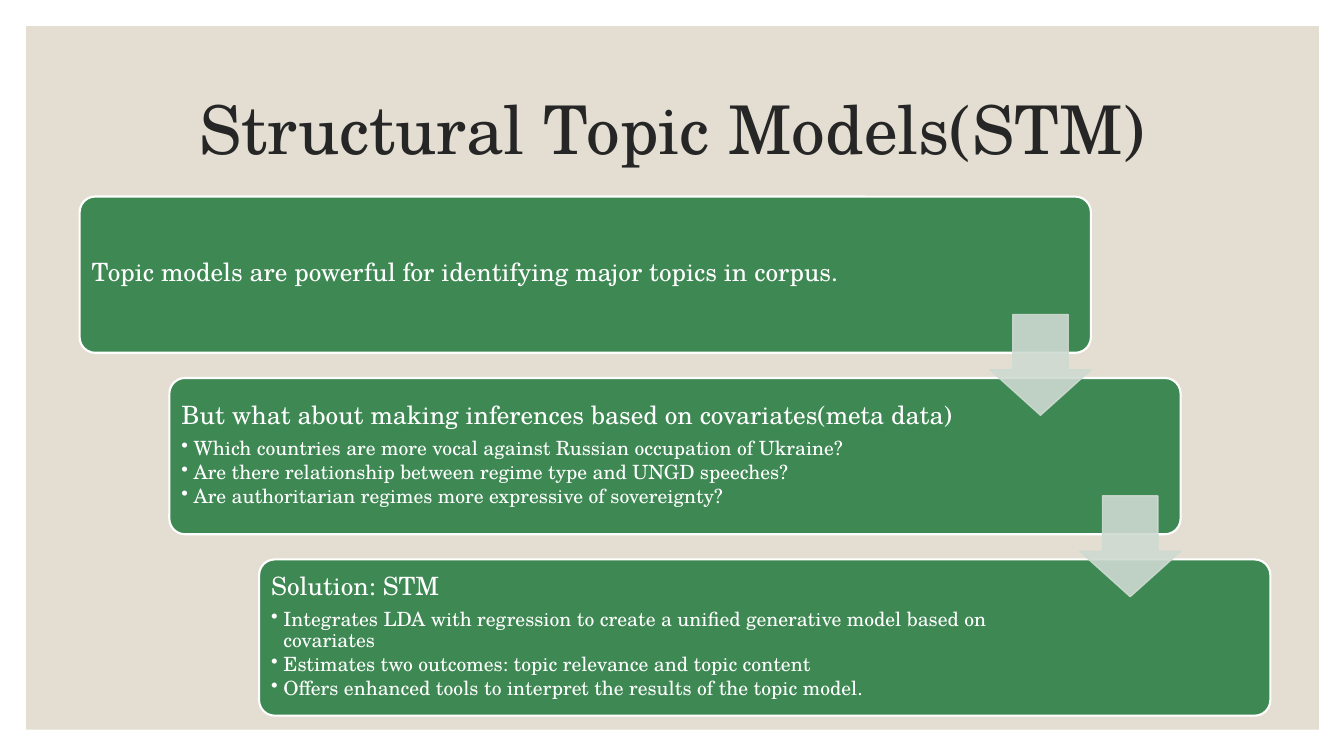
from dataclasses import dataclass

from lxml.etree import SubElement
from pptx import Presentation
from pptx.dml.color import RGBColor
from pptx.enum.shapes import MSO_SHAPE
from pptx.enum.text import MSO_ANCHOR, MSO_AUTO_SIZE, PP_ALIGN
from pptx.oxml.ns import qn
from pptx.shapes.autoshape import Shape
from pptx.slide import Slide
from pptx.text.text import _Paragraph
from pptx.util import Emu, Pt

EMU_PER_PX = 9144
FONT = "TeX Gyre Schola"
SAND = RGBColor(0xE3, 0xDE, 0xD1)
GREEN = RGBColor(0x3E, 0x88, 0x53)
PALE_GREEN = RGBColor(0xCE, 0xDA, 0xD1)
WHITE = RGBColor(0xFF, 0xFF, 0xFF)
INK = RGBColor(0x26, 0x26, 0x26)

STEP_LEFT, STEP_TOP = 79, 195
STEP_RIGHTWARD, STEP_DOWNWARD = 89, 180
STEP_WIDTH, STEP_HEIGHT = 1003, 155
ARROW_SIZE = 100
BULLET_INDENT = 12


@dataclass(frozen=True)
class Step:
    heading: str
    points: tuple[str, ...] = ()
    text_width: int = 805


STEPS = (
    Step("Topic models are powerful for identifying major topics in corpus.", text_width=836),
    Step(
        "But what about making inferences based on covariates(meta data)",
        (
            "Which countries are more vocal against Russian occupation of Ukraine?",
            "Are there relationship between regime type and UNGD speeches?",
            "Are authoritarian regimes more expressive of sovereignty?",
        ),
    ),
    Step(
        "Solution: STM",
        (
            "Integrates LDA with regression to create a unified generative model based on covariates",
            "Estimates two outcomes: topic relevance and topic content",
            "Offers enhanced tools to interpret the results of the topic model.",
        ),
    ),
)


def px(length: int) -> Emu:
    return Emu(length * EMU_PER_PX)


def add_filled(slide: Slide, kind: MSO_SHAPE, left: int, top: int,
               width: int, height: int, color: RGBColor) -> Shape:
    shape = slide.shapes.add_shape(kind, px(left), px(top), px(width), px(height))
    shape.shadow.inherit = False
    shape.fill.solid()
    shape.fill.fore_color.rgb = color
    shape.line.fill.background()
    return shape


def write(paragraph: _Paragraph, text: str, size: int, color: RGBColor) -> None:
    paragraph.text = text
    paragraph.line_spacing = 0.9
    for run in paragraph.runs:
        run.font.name = FONT
        run.font.size = Pt(size)
        run.font.color.rgb = color


def add_bullet(paragraph: _Paragraph) -> None:
    paragraph.level = 1
    properties = paragraph._p.get_or_add_pPr()
    properties.set("marL", str(px(BULLET_INDENT)))
    properties.set("indent", str(-px(BULLET_INDENT)))
    SubElement(properties, qn("a:buChar")).set("char", "•")


def add_title(slide: Slide) -> None:
    title = slide.shapes.title
    title.left, title.top, title.width, title.height = px(117), px(70), px(1100), px(124)
    frame = title.text_frame
    frame.auto_size = MSO_AUTO_SIZE.NONE
    frame.vertical_anchor = MSO_ANCHOR.MIDDLE
    write(frame.paragraphs[0], "Structural Topic Models(STM)", 48, INK)
    frame.paragraphs[0].alignment = PP_ALIGN.CENTER


def add_step(slide: Slide, step: Step, left: int, top: int) -> None:
    card = add_filled(slide, MSO_SHAPE.ROUNDED_RECTANGLE, left, top,
                      STEP_WIDTH, STEP_HEIGHT, GREEN)
    card.adjustments[0] = 0.1
    card.line.color.rgb = WHITE
    card.line.width = Pt(1.5)

    frame = slide.shapes.add_textbox(
        px(left + 5), px(top + 4), px(step.text_width), px(145)).text_frame
    frame.word_wrap = True
    frame.vertical_anchor = MSO_ANCHOR.MIDDLE
    frame.margin_left = frame.margin_right = frame.margin_top = frame.margin_bottom = px(7)
    heading = frame.paragraphs[0]
    write(heading, step.heading, 18, WHITE)
    heading.space_after = Pt(6.3)
    for point in step.points:
        paragraph = frame.add_paragraph()
        write(paragraph, point, 14, WHITE)
        paragraph.space_after = Pt(2.1)
        add_bullet(paragraph)


def add_arrow(slide: Slide, left: int, top: int) -> None:
    arrow = add_filled(slide, MSO_SHAPE.DOWN_ARROW, left, top,
                       ARROW_SIZE, ARROW_SIZE, PALE_GREEN)
    arrow.adjustments[0] = 0.55
    arrow.adjustments[1] = 0.45
    arrow.line.color.rgb = PALE_GREEN
    arrow.line.width = Pt(1)
    for color in arrow.element.spPr.iter(qn("a:srgbClr")):
        SubElement(color, qn("a:alpha")).set("val", "90000")


def main() -> None:
    presentation = Presentation()
    presentation.slide_width, presentation.slide_height = px(1333), px(750)
    slide = presentation.slides.add_slide(presentation.slide_layouts[5])

    panel = add_filled(slide, MSO_SHAPE.RECTANGLE, 26, 26, 1282, 698, SAND)
    slide.shapes.title.element.addprevious(panel.element)
    add_title(slide)

    corners = [(STEP_LEFT + STEP_RIGHTWARD * i, STEP_TOP + STEP_DOWNWARD * i)
               for i in range(len(STEPS))]
    for step, (left, top) in zip(STEPS, corners):
        add_step(slide, step, left, top)
    for left, top in corners[:-1]:
        add_arrow(slide, left + STEP_WIDTH - ARROW_SIZE, top + 117)

    presentation.save("out.pptx")


if __name__ == "__main__":
    main()
